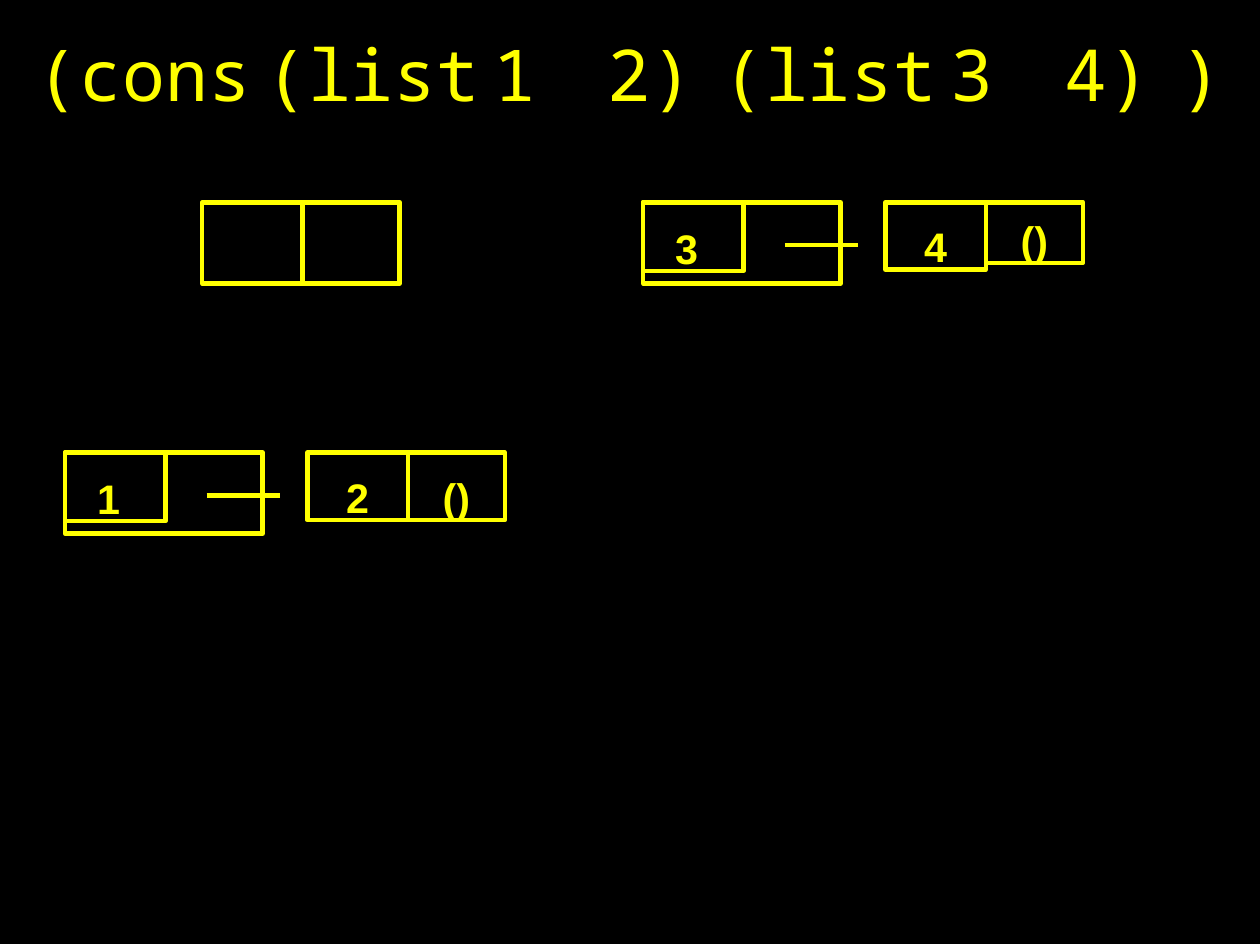
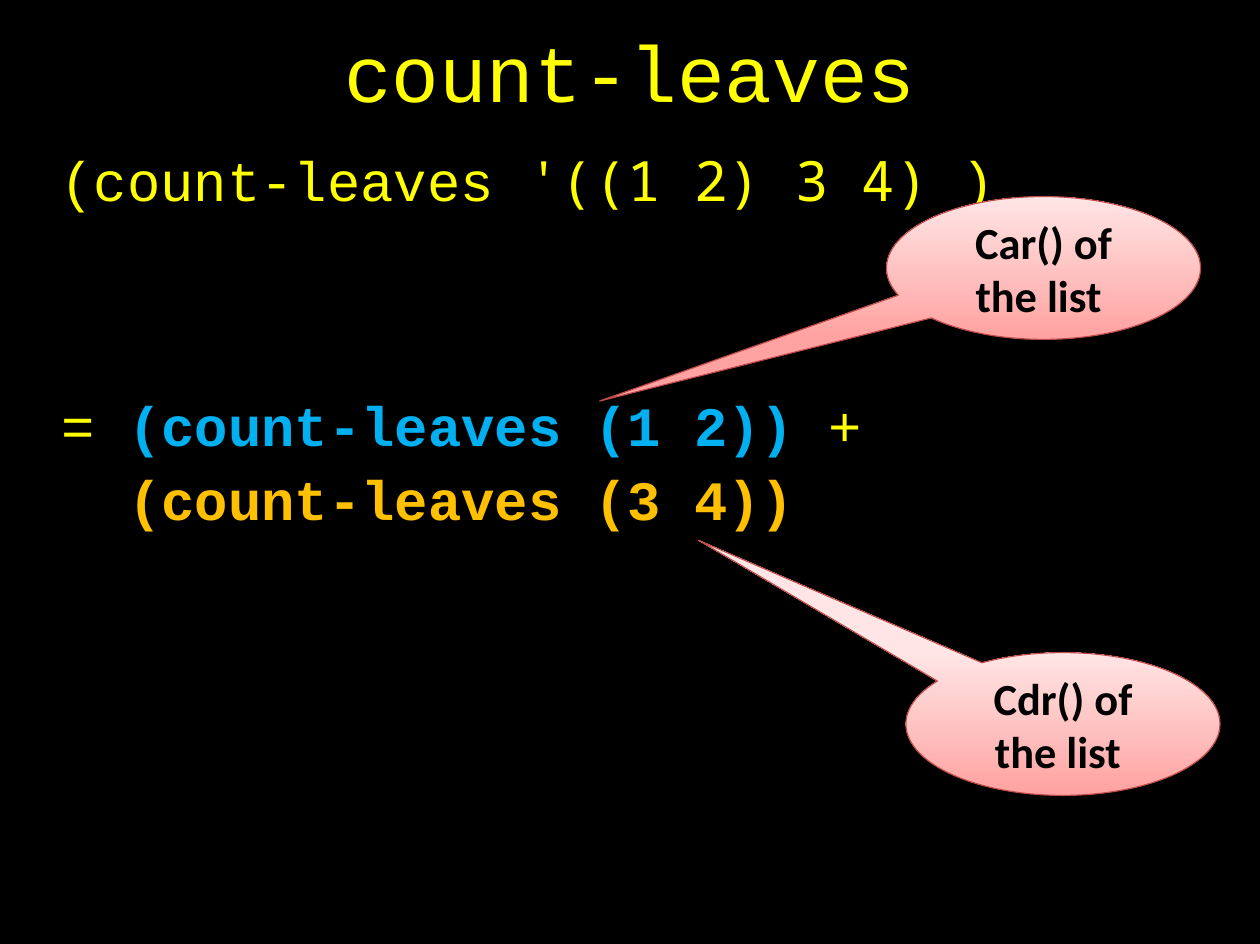
from dataclasses import dataclass
from typing import Optional, Sequence

from lxml import etree
from pptx import Presentation
from pptx.dml.color import RGBColor
from pptx.enum.shapes import MSO_CONNECTOR, MSO_SHAPE as Shape
from pptx.enum.text import MSO_ANCHOR as Anchor, PP_ALIGN as Align
from pptx.oxml.ns import qn
from pptx.util import Inches, Pt

# Shared look
BLACK = RGBColor(0x00, 0x00, 0x00)
YELLOW = RGBColor(0xFF, 0xFF, 0x00)
BLUE = RGBColor(0x00, 0xB0, 0xF0)
ORANGE = RGBColor(0xFF, 0xC0, 0x00)
PINK_DARK = RGBColor(0xFF, 0xA2, 0xA1)
PINK_LIGHT = RGBColor(0xFF, 0xE5, 0xE5)
RED_LINE = RGBColor(0xBE, 0x4B, 0x48)
CODE = "Courier New"
MONO = "Noto Sans Mono"
LINE_WIDTH = Pt(2.83)
NO_STYLE = "{2D5ABB26-0587-4C30-8999-92F81FD0307C}"

# Cons pair geometry
PAIR_WIDTH, PAIR_HEIGHT = 1.73, 0.71
CAR_WIDTH, NIL_WIDTH = 0.88, 0.85
NEXT_OFFSET = 2.12
POINTER_X, POINTER_Y, POINTER_LENGTH = 1.24, 0.375, 0.64


@dataclass
class Style:
    size: float
    font: str
    color: RGBColor = YELLOW
    bold: bool = False


@dataclass
class Chain:
    left: float
    top: float
    first: str
    second: str
    nil_height: float
    nil_inset: float


@dataclass
class Callout:
    text: str
    left: float
    top: float
    tail: tuple[float, float]


CHAINS = [
    Chain(0.57, 3.96, "1", "2", 0.59, 0.17),
    Chain(5.63, 1.77, "3", "4", 0.53, 0.11),
]
CALLOUTS = [
    Callout("Car() of the list ", 7.76, 1.72, (-1.413, 0.931)),
    Callout("Cdr() of the list ", 7.93, 5.71, (-1.16, -1.286)),
]
CELL_STYLE = Style(26, "Arial", bold=True)


def apply_style(font, style: Style) -> None:
    font.size = Pt(style.size)
    font.name = style.font
    font.bold = style.bold
    font.color.rgb = style.color


def set_margins(target, left: float = 0, top: float = 0,
                right: float = 0, bottom: float = 0) -> None:
    target.margin_left, target.margin_top = Inches(left), Inches(top)
    target.margin_right, target.margin_bottom = Inches(right), Inches(bottom)


def add_tabs(para, stops: Sequence[float]) -> None:
    tab_list = etree.SubElement(para._p.get_or_add_pPr(), qn("a:tabLst"))
    for stop in stops:
        etree.SubElement(tab_list, qn("a:tab"), pos=str(Inches(stop)), algn="l")


def add_page(deck):
    page = deck.slides.add_slide(deck.slide_layouts[6])
    page.background.fill.solid()
    page.background.fill.fore_color.rgb = BLACK
    return page


def add_text(page, area: tuple[float, float, float, float],
             spans: Sequence[tuple[str, Style]], align: Align = Align.LEFT,
             anchor: Anchor = Anchor.TOP, inset: float = 0.01,
             tabs: Sequence[float] = ()) -> None:
    box = page.shapes.add_textbox(*map(Inches, area))
    frame = box.text_frame
    frame.word_wrap = True
    frame.vertical_anchor = anchor
    set_margins(frame, top=inset)
    para = frame.paragraphs[0]
    para.alignment = align
    if tabs:
        add_tabs(para, tabs)
    for text, style in spans:
        span = para.add_run()
        span.text = text
        apply_style(span.font, style)


def add_title(page, area: tuple[float, float, float, float], text: str,
              style: Style, inset: float = 0.01, tabs: Sequence[float] = ()) -> None:
    add_text(page, area, [(text, style)], Align.CENTER, Anchor.MIDDLE, inset, tabs)


def add_line(page, left: float, top: float, right: float, bottom: float) -> None:
    line = page.shapes.add_connector(
        MSO_CONNECTOR.STRAIGHT, *map(Inches, (left, top, right, bottom)))
    line.line.color.rgb = YELLOW
    line.line.width = LINE_WIDTH
    etree.SubElement(line._element.spPr, qn("a:effectLst"))


def add_rect(page, left: float, top: float, width: float, height: float,
             fill: Optional[RGBColor] = None):
    rect = page.shapes.add_shape(
        Shape.RECTANGLE, *map(Inches, (left, top, width, height)))
    rect.shadow.inherit = False
    if fill is None:
        rect.fill.background()
    else:
        rect.fill.solid()
        rect.fill.fore_color.rgb = fill
    rect.line.color.rgb = YELLOW
    rect.line.width = LINE_WIDTH
    return rect


def add_cell(page, left: float, top: float, width: float, height: float,
             text: str, inset: float, indent: Optional[float] = None) -> None:
    """Draw a value cell; its text is centred unless an indent is given."""
    frame = add_rect(page, left, top, width, height, BLACK).text_frame
    frame.vertical_anchor = Anchor.TOP
    set_margins(frame, left=indent or 0, top=inset)
    para = frame.paragraphs[0]
    para.text = text
    para.alignment = Align.CENTER if indent is None else Align.LEFT
    apply_style(para.runs[0].font, CELL_STYLE)


def add_chain(page, chain: Chain) -> None:
    left, top = chain.left, chain.top
    second = left + NEXT_OFFSET
    add_rect(page, left, top, PAIR_WIDTH, PAIR_HEIGHT)
    add_cell(page, left, top, CAR_WIDTH, 0.6, chain.first, 0.18, indent=0.28)
    add_cell(page, second, top, CAR_WIDTH, 0.59, chain.second, 0.17)
    add_cell(page, second + CAR_WIDTH, top, NIL_WIDTH, chain.nil_height,
             "()", chain.nil_inset)
    pointer = left + POINTER_X
    add_line(page, pointer, top + POINTER_Y, pointer + POINTER_LENGTH, top + POINTER_Y)


def add_callout(page, callout: Callout) -> None:
    bubble = page.shapes.add_shape(
        Shape.OVAL_CALLOUT, *map(Inches, (callout.left, callout.top, 2.75, 1.25)))
    bubble.shadow.inherit = False
    bubble.adjustments[0], bubble.adjustments[1] = callout.tail
    bubble.fill.gradient()
    bubble.fill.gradient_angle = 90
    for stop, color in zip(bubble.fill.gradient_stops, (PINK_DARK, PINK_LIGHT)):
        stop.color.rgb = color
    bubble.line.color.rgb = RED_LINE
    bubble.line.width = Pt(0.75)
    frame = bubble.text_frame
    frame.word_wrap = True
    frame.vertical_anchor = Anchor.MIDDLE
    para = frame.paragraphs[0]
    para.text = callout.text
    para.alignment = Align.CENTER
    apply_style(para.runs[0].font, Style(28, "Calibri", BLACK, bold=True))


def add_sum_table(page) -> None:
    rows = [
        (["=", "(count-leaves", "(1", "2))", "+"], BLUE),
        (["", "(count-leaves", "(3", "4))", ""], ORANGE),
    ]
    widths = [0.47, 4.08, 0.87, 1.17, 0.47]
    indents = {"=": 0.03, "+": 0.15}
    table = page.shapes.add_table(
        len(rows), len(widths), Inches(0.51), Inches(3.43),
        Inches(sum(widths)), Inches(1.29)).table
    table.first_row = table.horz_banding = False
    table._tbl.tblPr.find(qn("a:tableStyleId")).text = NO_STYLE
    for column, width in zip(table.columns, widths):
        column.width = Inches(width)
    for row, (texts, color) in enumerate(rows):
        for col, text in enumerate(texts):
            cell = table.cell(row, col)
            cell.fill.solid()
            cell.fill.fore_color.rgb = BLACK
            set_margins(cell, left=indents.get(text, 0), top=0.07)
            if not text:
                continue
            operator = text in indents
            para = cell.text_frame.paragraphs[0]
            para.text = text
            para.alignment = Align.LEFT if operator else Align.CENTER
            para.line_spacing = Pt(40)
            apply_style(para.runs[0].font,
                        Style(35, CODE, YELLOW if operator else color, not operator))


def build_cons_page(deck) -> None:
    page = add_page(deck)
    add_title(page, (0.06, 0.24, 10.9, 0.78), "(cons\t(list\t1\t2)\t(list\t3\t4)\t)",
              Style(45, MONO), tabs=range(1, 11))
    # Empty pair
    left, top = 1.77, 1.77
    add_rect(page, left, top, PAIR_WIDTH, PAIR_HEIGHT)
    add_line(page, left + CAR_WIDTH, top, left + CAR_WIDTH, top + PAIR_HEIGHT)
    # Lists
    for chain in CHAINS:
        add_chain(page, chain)


def build_count_page(deck) -> None:
    page = add_page(deck)
    code, mono = Style(35, CODE), Style(35, MONO)
    add_text(page, (0.53, 1.27, 8.19, 0.6),
             [("(count-leaves ", code), ("'((1 2)\t3 4) ", mono), (")", code)],
             tabs=[6.43])
    add_sum_table(page)
    add_title(page, (3, 0.07, 5.03, 0.86), "count-leaves", Style(50, CODE), inset=0.23)
    for callout in CALLOUTS:
        add_callout(page, callout)


def main() -> None:
    deck = Presentation()
    deck.slide_width, deck.slide_height = Inches(11.03), Inches(8.26)
    build_cons_page(deck)
    build_count_page(deck)
    deck.save("out.pptx")


if __name__ == "__main__":
    main()
